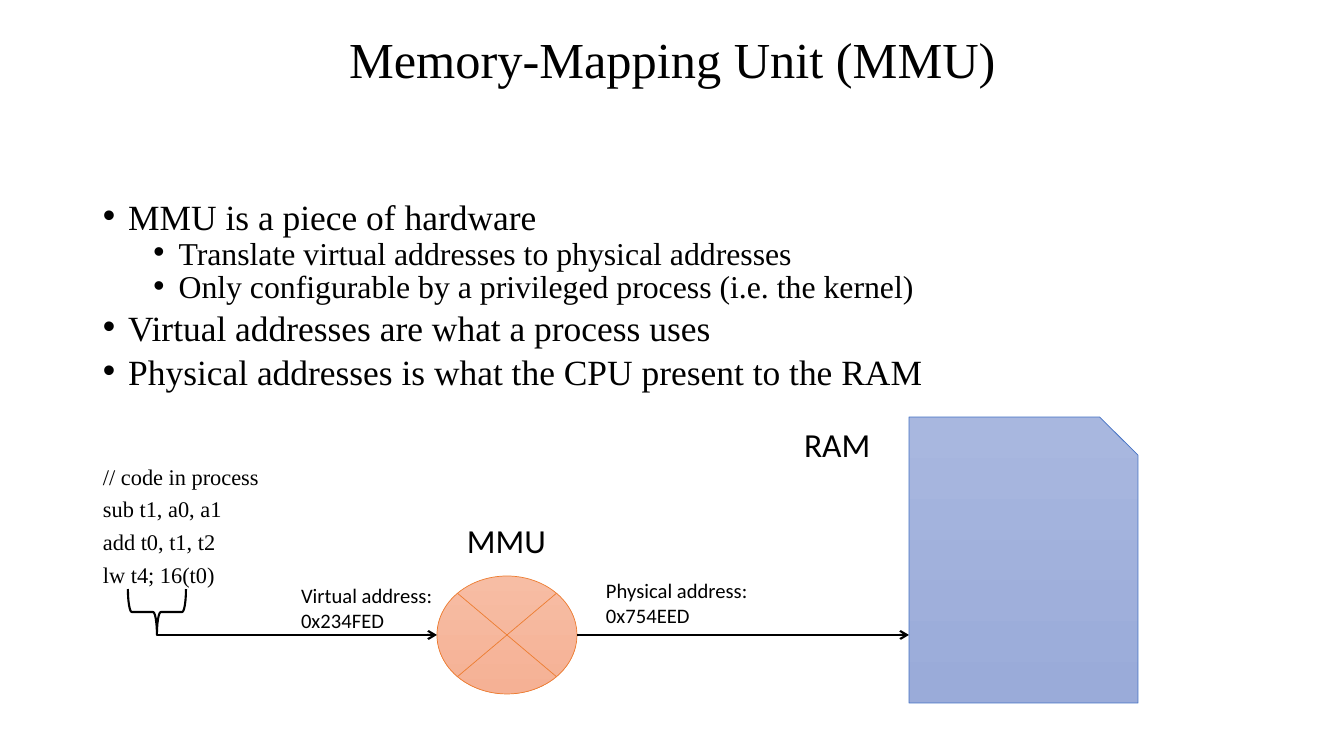
from dataclasses import dataclass

from lxml.etree import SubElement
from pptx import Presentation
from pptx.dml.color import RGBColor as RGB
from pptx.enum.shapes import MSO_CONNECTOR as CONN, MSO_SHAPE as SHAPE
from pptx.enum.text import MSO_ANCHOR as ANCHOR, PP_ALIGN as ALIGN
from pptx.oxml.ns import qn
from pptx.util import Pt

SCALE = 914400 / 100.8


def px(n):
    """Turn pixels into EMU."""
    return round(n * SCALE)


@dataclass(frozen=True)
class Theme:
    """Colours, fonts and sizes of the slide."""
    ink: str = "000000"
    mmu: tuple = ("F7BDA4", "F5B195", "ED7D31")
    ram: tuple = ("A8B7DF", "9AABD9", "4472C4")
    serif: str = "Times New Roman"
    sans: str = "Calibri"
    title: float = 36
    levels: tuple = (25.3, 22.7)
    code: float = 16
    label: float = 24
    note: float = 14.7
    thick: float = 1.5
    thin: float = 0.5


class Deck:
    """Holds the theme and the current slide."""

    def __init__(self, prs, theme):
        """Add a blank slide."""
        self.t = theme
        self.s = prs.slides.add_slide(prs.slide_layouts[6])

    def box(self, x, y, w, h, pad=(10, 5), wrap=True, anchor=ANCHOR.TOP):
        """Add an empty text box and return its frame."""
        tf = self.s.shapes.add_textbox(px(x), px(y), px(w), px(h)).text_frame
        tf.word_wrap, tf.vertical_anchor = wrap, anchor
        tf.margin_left = tf.margin_right = px(pad[0])
        tf.margin_top = tf.margin_bottom = px(pad[1])
        return tf

    def para(self, tf, text, size, font, spacing=1.0, before=0, align=ALIGN.LEFT):
        """Write one paragraph, filling the first one if it is free."""
        first = tf.paragraphs[0]
        p = tf.add_paragraph() if first.runs else first
        p.alignment, p.line_spacing, p.space_before = align, spacing, Pt(before)
        r = p.add_run()
        r.text = text
        r.font.size, r.font.name = Pt(size), font
        r.font.color.rgb = RGB.from_string(self.t.ink)
        return p

    def bullet(self, tf, text, level):
        """Write one bulleted paragraph."""
        p = self.para(tf, text, self.t.levels[level], self.t.serif, 0.7, 10 - 5 * level)
        p.level = level
        pPr = p._p.get_or_add_pPr()
        pPr.set("marL", str(px(25.2 + 50.4 * level)))
        pPr.set("indent", str(px(-25.2)))
        SubElement(pPr, qn("a:buFont")).set("typeface", "Arial")
        SubElement(pPr, qn("a:buChar")).set("char", "•")

    def label(self, x, y, w, h, lines, size):
        """Add an unwrapped label."""
        tf = self.box(x, y, w, h, (13, 7), False)
        for line in lines:
            self.para(tf, line, size, self.t.sans)

    def shape(self, kind, x, y, w, h, line, width, fill=None):
        """Add a preset shape with an optional downward gradient."""
        sp = self.s.shapes.add_shape(kind, px(x), px(y), px(w), px(h))
        sp.shadow.inherit = False
        sp.line.color.rgb, sp.line.width = RGB.from_string(line), Pt(width)
        if fill:
            sp.fill.gradient()
            sp.fill.gradient_angle = 270
            for stop, color in zip(sp.fill.gradient_stops, fill):
                stop.color.rgb = RGB.from_string(color)
        else:
            sp.fill.background()
        return sp

    def arrow(self, x1, x2, y):
        """Add a horizontal arrow."""
        c = self.s.shapes.add_connector(CONN.STRAIGHT, px(x1), px(y), px(x2), px(y))
        c.line.color.rgb, c.line.width = RGB.from_string(self.t.ink), Pt(self.t.thick)
        SubElement(c.line._get_or_add_ln(), qn("a:tailEnd")).set("type", "arrow")
        SubElement(c._element.spPr, qn("a:effectLst"))


BULLETS = (
    (0, "MMU is a piece of hardware"),
    (1, "Translate virtual addresses to physical addresses"),
    (1, "Only configurable by a privileged process (i.e. the kernel)"),
    (0, "Virtual addresses are what a process uses"),
    (0, "Physical addresses is what the CPU present to the RAM"),
)
CODE = ("// code in process", "sub t1, a0, a1", "add t0, t1, t2", "lw t4; 16(t0)")
BUS_Y, TIP_X, MMU_X, MMU_W, RAM_X = 635, 157, 437, 140, 909

prs = Presentation()
prs.slide_width, prs.slide_height = px(1344), px(756)
t = Theme()
d = Deck(prs, t)

title = d.box(93, 17, 1159, 90, anchor=ANCHOR.MIDDLE)
d.para(title, "Memory-Mapping Unit (MMU)", t.title, t.serif, 0.9, align=ALIGN.CENTER)

body = d.box(93, 202, 1159, 480)
for level, text in BULLETS:
    d.bullet(body, text, level)
for i, text in enumerate(CODE):
    d.para(body, text, t.code, t.serif, 0.7, 10 if i else 56)

brace = d.shape(SHAPE.LEFT_BRACE, TIP_X - 23, 583, 46, 58, t.ink, t.thick)
brace.rotation = 270
d.shape(SHAPE.FLOWCHART_SUMMING_JUNCTION, MMU_X, BUS_Y - 59, MMU_W, 118,
        t.mmu[2], t.thin, t.mmu[:2])
d.arrow(TIP_X, MMU_X, BUS_Y)
d.shape(SHAPE.SNIP_1_RECTANGLE, RAM_X, 417, 229, 286, t.ram[2], t.thin, t.ram[:2])
d.arrow(MMU_X + MMU_W, RAM_X, BUS_Y)

d.label(454, 513, 107, 54, ["MMU"], t.label)
d.label(791, 417, 94, 54, ["RAM"], t.label)
d.label(288, 576, 159, 64, ["Virtual address:", "0x234FED"], t.note)
d.label(593, 571, 170, 64, ["Physical address:", "0x754EED"], t.note)

prs.save("out.pptx")
